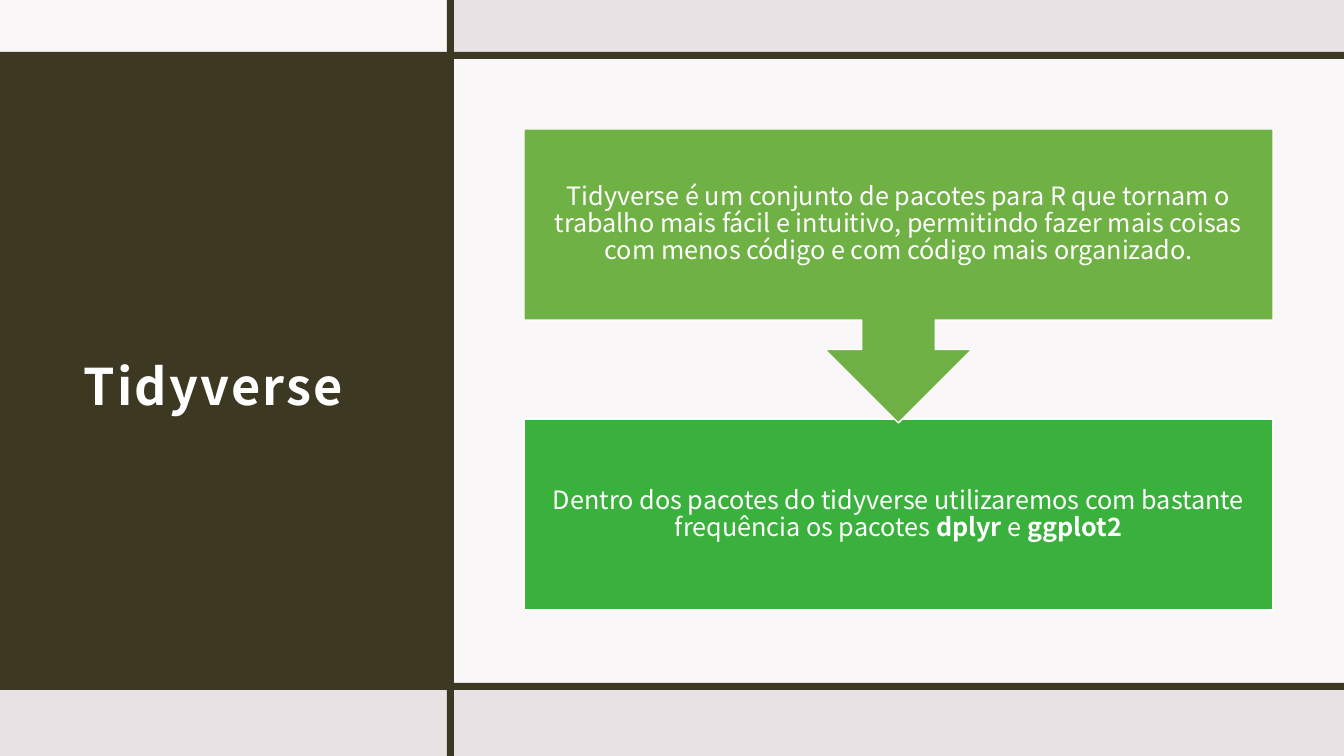
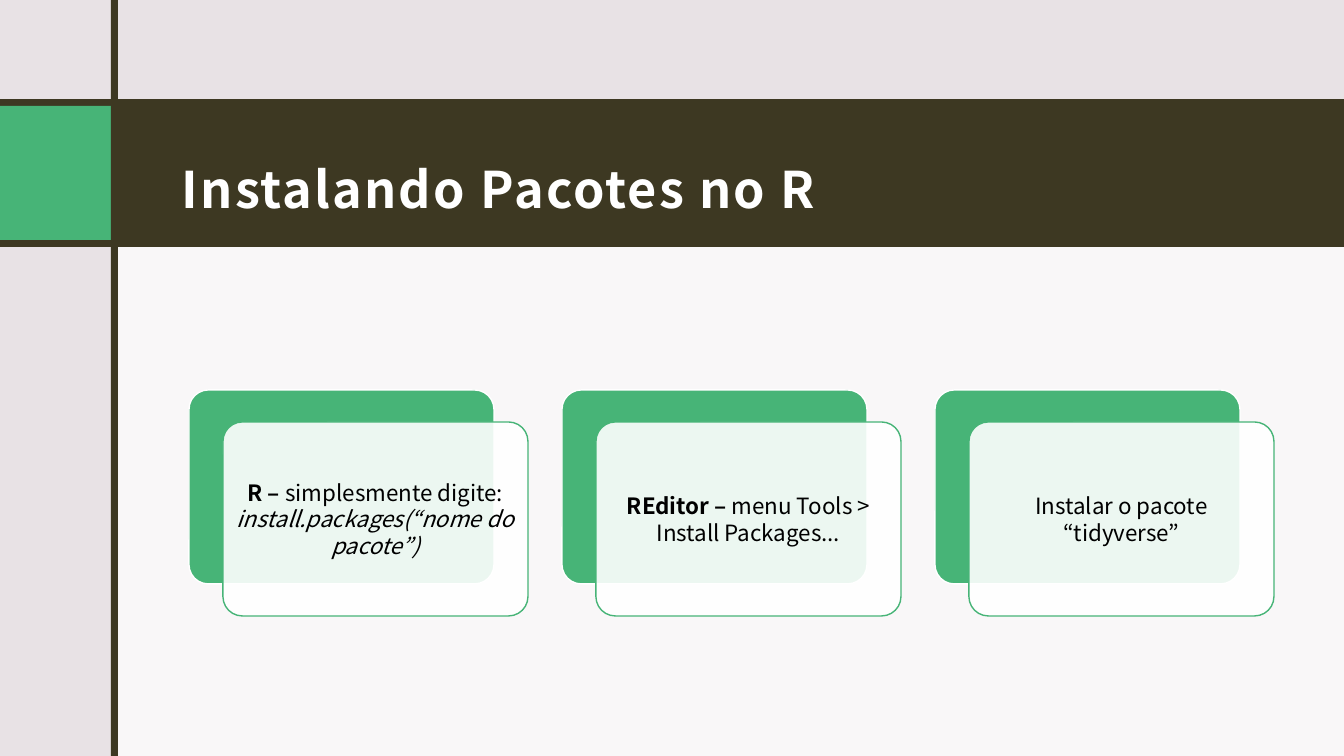
from dataclasses import dataclass

from lxml.etree import SubElement
from pptx import Presentation
from pptx.dml.color import RGBColor as RGB
from pptx.enum.shapes import MSO_SHAPE as Form
from pptx.enum.text import MSO_ANCHOR as Anchor, MSO_AUTO_SIZE as Fit, PP_ALIGN as Align
from pptx.oxml.ns import qn
from pptx.util import Pt

WIDE, HIGH = 1344, 756
SCALE = 12192000 / WIDE


@dataclass(frozen=True)
class Theme:
    font: str = "Noto Sans CJK JP"
    back: str = "E8E2E5"
    dark: str = "3D3822"
    white: str = "FFFFFF"
    black: str = "000000"
    mint: str = "47B477"
    leaf: str = "3BB13D"
    lime: str = "70B145"
    head: int = 36
    body: int = 18
    small: int = 16
    rule: int = 7
    veil: int = 75


def emu(px):
    return round(px * SCALE)


def write(frame, runs, size, color, font, bold=False, align=Align.CENTER,
          lead=1.0, track=0, pad=(0, 0, 0, 0)):
    """Fill a frame with (text, style) runs; style may hold "b" and "i"."""
    frame.word_wrap, frame.auto_size = True, Fit.NONE
    frame.vertical_anchor = Anchor.MIDDLE
    (frame.margin_left, frame.margin_top,
     frame.margin_right, frame.margin_bottom) = map(emu, pad)
    para = frame.paragraphs[0]
    para.alignment, para.line_spacing = align, lead
    for text, style in runs:
        run = para.add_run()
        run.text = text
        face = run.font
        face.name, face.size = font, Pt(size)
        face.bold, face.italic = bold or "b" in style, "i" in style
        face.color.rgb = RGB.from_string(color)
        if track:
            run._r.get_or_add_rPr().set("spc", str(round(track * 100)))


class Deck:
    def __init__(self, theme):
        self.theme = theme
        self.show = Presentation()
        self.show.slide_width, self.show.slide_height = emu(WIDE), emu(HIGH)
        fill = self.show.slide_master.background.fill
        fill.solid()
        fill.fore_color.rgb = RGB.from_string(theme.back)
        self.slide = None

    def page(self):
        self.slide = self.show.slides.add_slide(self.show.slide_layouts[5])

    def shape(self, form, box, fill, line=None, alpha=100, round_by=None):
        item = self.slide.shapes.add_shape(form, *map(emu, box))
        item.shadow.inherit = False
        item.fill.solid()
        item.fill.fore_color.rgb = RGB.from_string(fill)
        if alpha < 100:
            tint = item.fill._xPr.find(qn("a:solidFill"))[0]
            SubElement(tint, qn("a:alpha")).set("val", str(alpha * 1000))
        if line:
            item.line.color.rgb = RGB.from_string(line)
            item.line.width = Pt(1)
        else:
            item.line.fill.background()
        if round_by is not None:
            item.adjustments[0] = round_by
        return item

    def band(self, box, fill, alpha=100):
        self.shape(Form.RECTANGLE, box, fill, alpha=alpha)

    def panel(self, box):
        self.band(box, self.theme.white, self.theme.veil)

    def row(self, top):
        self.band((0, top, WIDE, self.theme.rule), self.theme.dark)

    def post(self, left):
        self.band((left, 0, self.theme.rule, HIGH), self.theme.dark)

    def title(self, text, box):
        t = self.theme
        item = self.slide.shapes.title
        item.left, item.top, item.width, item.height = map(emu, box)
        self.slide.shapes._spTree.append(item._element)  # above the bands
        write(item.text_frame, [(text, "b")], t.head, t.white, t.font,
              align=Align.LEFT, lead=1.5, track=1.5, pad=(12, 12, 12, 10))

    def step(self, form, box, fill, runs):
        t = self.theme
        item = self.shape(form, box, fill, t.white)
        write(item.text_frame, runs, t.body, t.white, t.font,
              lead=0.9, pad=(14, 14, 14, 14))

    def card(self, left, top, runs):
        """Draw a solid card with a sheer text card set over it."""
        t, form = self.theme, Form.ROUNDED_RECTANGLE
        wide, high = 305, 194
        self.shape(form, (left, top, wide, high), t.mint, t.white, round_by=0.1)
        item = self.shape(form, (left + 34, top + 32, wide, high), t.white,
                          t.mint, alpha=90, round_by=0.1)
        write(item.text_frame, runs, t.small, t.black, t.font,
              pad=(7, 7, 7, 7))


def intro(deck):
    t = deck.theme
    deck.page()
    deck.band((0, 52, 447, 631), t.dark)
    deck.panel((0, 0, 447, 52))
    deck.panel((454, 59, 890, 624))
    deck.row(683)
    deck.row(52)
    deck.post(447)
    deck.title("Tidyverse", (72, 132, 344, 475))
    deck.step(Form.RECTANGLE, (524, 419, 749, 191), t.leaf, [
        ("Dentro dos pacotes do tidyverse utilizaremos com bastante "
         "frequência os pacotes ", ""),
        ("dplyr", "b"), (" e ", ""), ("ggplot2", "b")])
    deck.step(Form.DOWN_ARROW_CALLOUT, (524, 129, 749, 294), t.lime, [
        ("Tidyverse é um conjunto de pacotes para R que tornam o trabalho "
         "mais fácil e intuitivo, permitindo fazer mais coisas com menos "
         "código e com código mais organizado.", "")])


def setup(deck):
    t = deck.theme
    deck.page()
    deck.panel((115, 235, 1229, 521))
    deck.band((0, 99, WIDE, 148), t.dark)
    deck.band((0, 106, 111, 134), t.mint)
    deck.post(111)
    deck.title("Instalando Pacotes no R", (170, 115, 1104, 114))
    cards = [
        [("R – ", "b"), ("simplesmente digite: ", ""),
         ("install.packages(“nome do pacote”)", "i")],
        [("REditor – ", "b"), ("menu Tools > Install Packages...", "")],
        [("Instalar o pacote “tidyverse”", "")],
    ]
    for i, runs in enumerate(cards):
        deck.card(189 + 373 * i, 390, runs)


def main():
    deck = Deck(Theme())
    intro(deck)
    setup(deck)
    deck.show.save("out.pptx")


if __name__ == "__main__":
    main()
